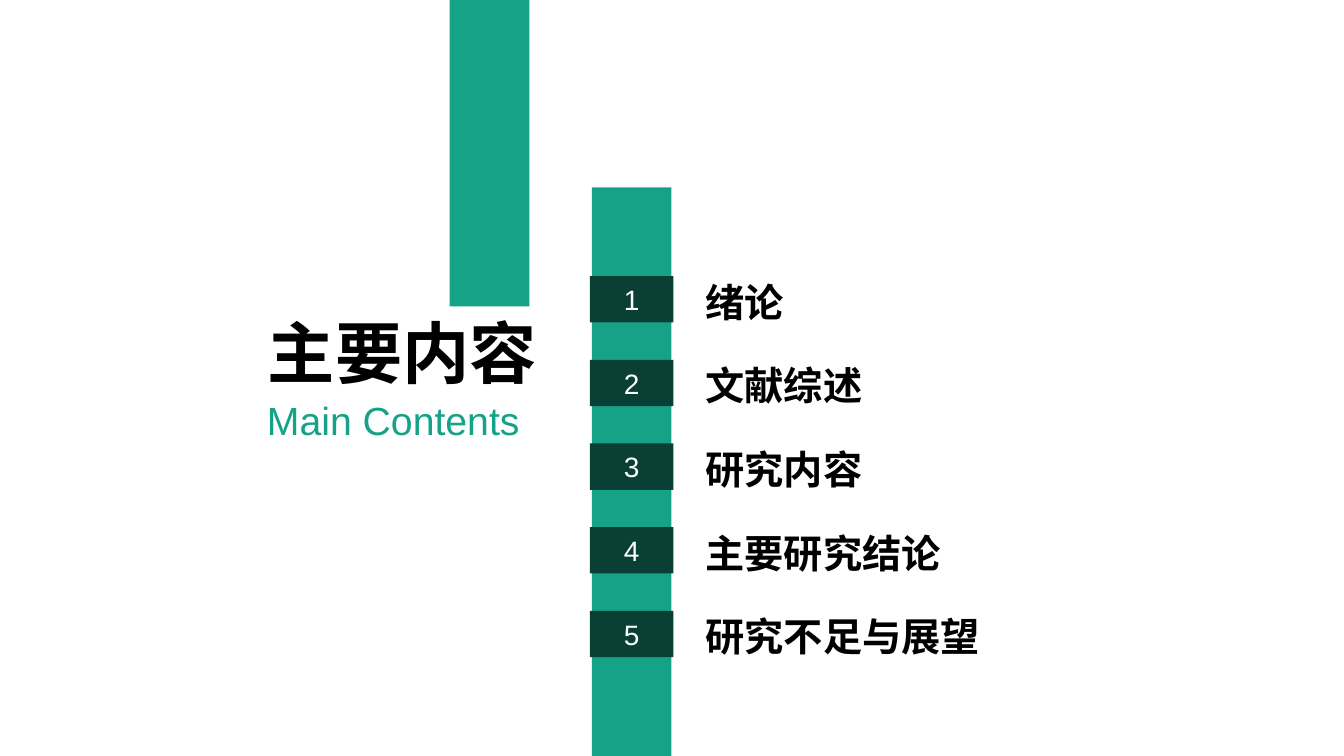
from lxml.etree import SubElement
from pptx import Presentation
from pptx.dml.color import RGBColor
from pptx.enum.shapes import MSO_SHAPE
from pptx.enum.text import MSO_ANCHOR, MSO_AUTO_SIZE, PP_ALIGN
from pptx.oxml.ns import qn
from pptx.util import Inches, Pt

GREEN = RGBColor(0x16, 0xA2, 0x87)
DARK_GREEN = RGBColor(0x09, 0x3F, 0x35)
BLACK = RGBColor(0x00, 0x00, 0x00)
WHITE = RGBColor(0xFF, 0xFF, 0xFF)

# Content
TITLE = "主要内容"
SUBTITLE = "Main Contents"
CHAPTERS = ["绪论", "文献综述", "研究内容", "主要研究结论", "研究不足与展望"]

# Layout in inches: left, top, width, height
SLIDE_SIZE = (13.33, 7.5)
BARS = [(4.46, 0, 0.79, 3.04), (5.87, 1.86, 0.79, 5.64)]
TITLE_BOX = (2.44, 3.04, 3.1, 0.91)
SUBTITLE_BOX = (1.85, 3.88, 3.4, 0.57)
FIRST_CHAPTER_TOP, CHAPTER_PITCH = 2.74, 0.83
NUMBER_LEFT, NUMBER_WIDTH, NUMBER_HEIGHT = 5.85, 0.83, 0.46
CHAPTER_LEFT, CHAPTER_WIDTH, CHAPTER_HEIGHT = 6.9, 3.27, 0.57
CHAPTER_RISE = 0.03

# Formats
TITLE_FONT = {"name": "Noto Sans CJK SC", "size": Pt(48), "bold": True}
CHAPTER_FONT = {**TITLE_FONT, "size": Pt(28)}
SUBTITLE_FONT = {"name": "Arial", "size": Pt(28)}
NUMBER_FONT = {"name": "Arial", "size": Pt(20)}


def write(frame, text, font_format, color, align):
    paragraph = frame.paragraphs[0]
    paragraph.alignment = align
    run = paragraph.add_run()
    run.text = text
    for key, value in font_format.items():
        setattr(run.font, key, value)
    run.font.color.rgb = color
    # East Asian typeface
    SubElement(run.font._element, qn("a:ea")).set("typeface", font_format["name"])


def add_block(slide, box, color):
    block = slide.shapes.add_shape(MSO_SHAPE.RECTANGLE, *map(Inches, box))
    block.shadow.inherit = False
    block.fill.solid()
    block.fill.fore_color.rgb = color
    block.line.fill.background()
    return block


def add_label(slide, box, text, font_format, color, align):
    frame = slide.shapes.add_textbox(*map(Inches, box)).text_frame
    frame.word_wrap = True
    frame.auto_size = MSO_AUTO_SIZE.SHAPE_TO_FIT_TEXT
    write(frame, text, font_format, color, align)


def main():
    deck = Presentation()
    deck.slide_width, deck.slide_height = map(Inches, SLIDE_SIZE)
    slide = deck.slides.add_slide(deck.slide_layouts[6])

    # Bars and heading
    for bar in BARS:
        add_block(slide, bar, GREEN)
    add_label(slide, TITLE_BOX, TITLE, TITLE_FONT, BLACK, PP_ALIGN.CENTER)
    add_label(slide, SUBTITLE_BOX, SUBTITLE, SUBTITLE_FONT, GREEN, PP_ALIGN.RIGHT)

    # Numbered chapters
    for index, chapter in enumerate(CHAPTERS):
        top = FIRST_CHAPTER_TOP + index * CHAPTER_PITCH
        number = add_block(slide, (NUMBER_LEFT, top, NUMBER_WIDTH, NUMBER_HEIGHT), DARK_GREEN)
        number.text_frame.vertical_anchor = MSO_ANCHOR.MIDDLE
        write(number.text_frame, str(index + 1), NUMBER_FONT, WHITE, PP_ALIGN.CENTER)
        chapter_box = (CHAPTER_LEFT, top - CHAPTER_RISE, CHAPTER_WIDTH, CHAPTER_HEIGHT)
        add_label(slide, chapter_box, chapter, CHAPTER_FONT, BLACK, PP_ALIGN.LEFT)

    deck.save("out.pptx")


if __name__ == "__main__":
    main()
